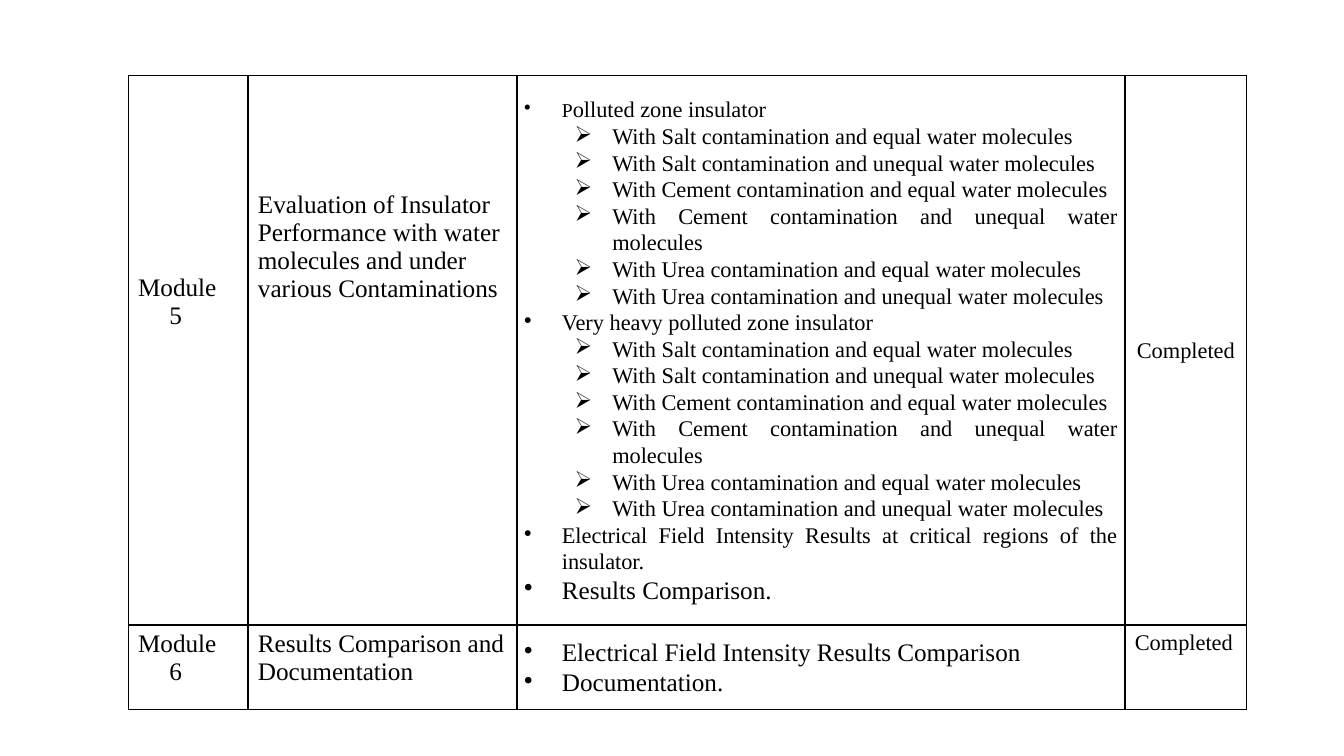
from dataclasses import dataclass

from lxml import etree
from pptx import Presentation
from pptx.dml.color import RGBColor
from pptx.enum.text import MSO_ANCHOR, PP_ALIGN
from pptx.oxml.ns import qn
from pptx.util import Cm, Pt

LEFT, CENTER, JUSTIFY = PP_ALIGN.LEFT, PP_ALIGN.CENTER, PP_ALIGN.JUSTIFY
TOP, MIDDLE = MSO_ANCHOR.TOP, MSO_ANCHOR.MIDDLE


@dataclass(frozen=True)
class Theme:
    font: str = "Times New Roman"
    ink: str = "000000"
    large: int = 18
    medium: int = 16
    small: int = 14
    border: float = 1
    spacing: float = 1.07


THEME = Theme()

# Content: each task is (level, size, text)
CONTAMINANTS = ["Salt", "Cement", "Urea"]
WATER = ["equal", "unequal"]
CASES = [
    (1, THEME.medium, f"With {contaminant} contamination and {amount} water molecules")
    for contaminant in CONTAMINANTS
    for amount in WATER
]
MODULES = [
    {
        "number": "5",
        "title": "Evaluation of Insulator Performance with water molecules "
                 "and under various Contaminations",
        "tasks": [
            (0, THEME.medium, "Polluted zone insulator"),
            *CASES,
            (0, THEME.medium, "Very heavy polluted zone insulator"),
            *CASES,
            (0, THEME.medium, "Electrical Field Intensity Results at critical "
                              "regions of the insulator."),
            (0, THEME.large, "Results Comparison."),
        ],
        "status": "Completed",
        "number_top": 5.0,
        "title_top": 2.91,
        "status_style": (CENTER, MIDDLE, THEME.spacing),
    },
    {
        "number": "6",
        "title": "Results Comparison and Documentation",
        "tasks": [
            (0, THEME.large, "Electrical Field Intensity Results Comparison"),
            (0, THEME.large, "Documentation."),
        ],
        "status": "Completed",
        "number_top": 0.13,
        "title_top": 0.13,
        "status_style": (LEFT, TOP, 1.0),
    },
]

# Layout in centimetres
TABLE_LEFT, TABLE_TOP = 3.23, 1.91
COLUMN_WIDTHS = [3.02, 6.78, 15.32, 3.07]
ROW_HEIGHTS = [13.84, 2.13]
SIDE, EDGE, NARROW_SIDE = 0.25, 0.13, 0.18
NUMBER_INDENT = 0.79
HANGING = 0.95
BULLETS = [("•", 0.95), ("➢", 2.22)]  # character and text indent by level


def prepare_cell(cell, anchor=TOP, side=SIDE, top=EDGE, bottom=EDGE):
    cell.vertical_anchor = anchor
    cell.margin_left = cell.margin_right = Cm(side)
    cell.margin_top, cell.margin_bottom = Cm(top), Cm(bottom)
    properties = cell._tc.get_or_add_tcPr()
    for edge in ("lnL", "lnR", "lnT", "lnB"):
        line = etree.SubElement(properties, qn(f"a:{edge}"), w=str(Pt(THEME.border)))
        fill = etree.SubElement(line, qn("a:solidFill"))
        etree.SubElement(fill, qn("a:srgbClr"), val=THEME.ink)
    cell.fill.background()


def add_paragraph(cell, text, size, align=LEFT, spacing=1.0, indent=0, bullet=None):
    frame = cell.text_frame
    paragraph = frame.paragraphs[0]
    if paragraph.runs:
        paragraph = frame.add_paragraph()
    paragraph.alignment = align
    paragraph.line_spacing = spacing
    properties = paragraph._p.get_or_add_pPr()
    properties.set("marL", str(Cm(indent)))
    if bullet:
        properties.set("indent", str(-Cm(HANGING)))
        etree.SubElement(properties, qn("a:buChar"), char=bullet)
    font = paragraph.font
    font.name, font.size = THEME.font, Pt(size)
    font.color.rgb = RGBColor.from_string(THEME.ink)
    paragraph.add_run().text = text
    return paragraph


def fill_tasks(cell, tasks):
    prepare_cell(cell, MIDDLE, NARROW_SIDE, 0, 0)
    for level, size, text in tasks:
        bullet, indent = BULLETS[level]
        paragraph = add_paragraph(cell, text, size, JUSTIFY, THEME.spacing, indent, bullet)
        paragraph.level = level


def fill_row(cells, module):
    number, title, tasks, status = cells
    prepare_cell(number, top=module["number_top"])
    add_paragraph(number, "Module", THEME.large)
    add_paragraph(number, module["number"], THEME.large, indent=NUMBER_INDENT)

    prepare_cell(title, top=module["title_top"])
    add_paragraph(title, module["title"], THEME.large)

    fill_tasks(tasks, module["tasks"])

    align, anchor, spacing = module["status_style"]
    if anchor == MIDDLE:
        prepare_cell(status, anchor, NARROW_SIDE, 0, 0)
    else:
        prepare_cell(status)
    add_paragraph(status, module["status"], THEME.medium, align, spacing)


def main():
    presentation = Presentation()
    presentation.slide_width, presentation.slide_height = Cm(33.87), Cm(19.05)
    slide = presentation.slides.add_slide(presentation.slide_layouts[6])

    # Module table
    table = slide.shapes.add_table(
        len(MODULES), len(COLUMN_WIDTHS), Cm(TABLE_LEFT), Cm(TABLE_TOP),
        Cm(sum(COLUMN_WIDTHS)), Cm(sum(ROW_HEIGHTS)),
    ).table
    table.first_row = table.horz_banding = False
    for column, width in zip(table.columns, COLUMN_WIDTHS):
        column.width = Cm(width)
    for row, height, module in zip(table.rows, ROW_HEIGHTS, MODULES):
        row.height = Cm(height)
        fill_row(row.cells, module)

    # Smaller initial letter of the first task
    first_task = table.cell(0, 2).text_frame.paragraphs[0]
    initial = first_task.runs[0]
    rest = first_task.add_run()
    rest.text = initial.text[1:]
    initial.text = initial.text[0]
    initial.font.size = Pt(THEME.small)

    presentation.save("out.pptx")


if __name__ == "__main__":
    main()
